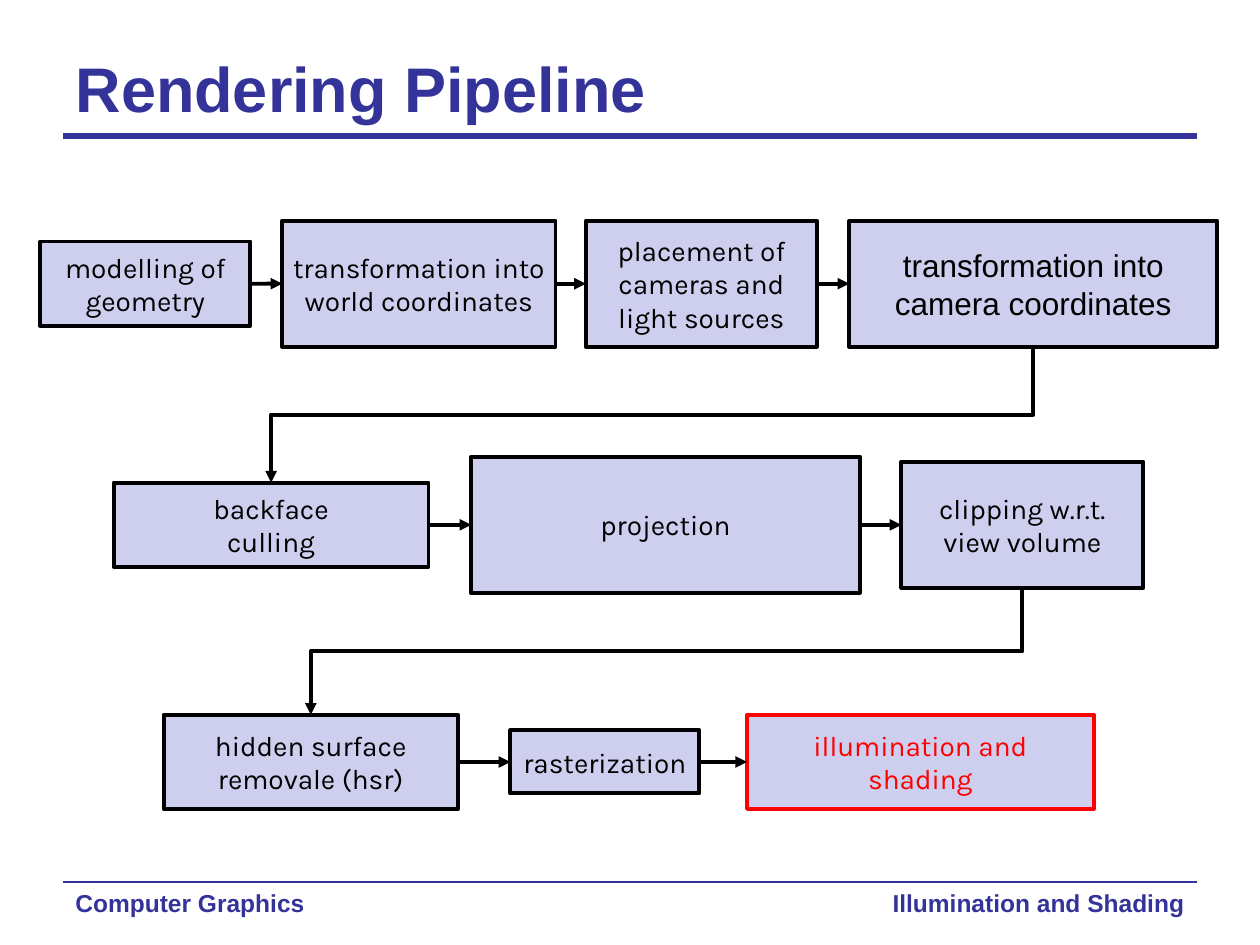
"""Build the rendering pipeline slide with python-pptx."""
from itertools import pairwise

from lxml.etree import SubElement
from pptx import Presentation
from pptx.dml.color import RGBColor
from pptx.enum.shapes import MSO_CONNECTOR, MSO_SHAPE
from pptx.enum.text import MSO_ANCHOR, MSO_AUTO_SIZE, PP_ALIGN
from pptx.oxml.ns import qn
from pptx.util import Cm, Pt

NAVY = RGBColor(0x33, 0x33, 0x99)
LILAC = RGBColor(0xCE, 0xCE, 0xEF)
BLACK = RGBColor(0, 0, 0)
RED = RGBColor(0xFF, 0, 0)

TITLE = "Rendering Pipeline"
FOOTERS = [
    ("Computer Graphics", 1.27, 9.53, PP_ALIGN.LEFT),
    ("Illumination and Shading", 16.3, 7.83, PP_ALIGN.RIGHT),
]
RULES = [(2.74, 3), (17.78, 1.5)]

# Each row: middle height, then (label, left, width, height) in centimetres.
ROWS = [
    (5.72, [
        ("modelling of\ngeometry", 0.81, 4.24, 1.7),
        ("transformation into\nworld coordinates", 5.69, 5.51, 2.54),
        ("placement of\ncameras and\nlight sources", 11.81, 4.66, 2.54),
        ("transformation into\ncamera coordinates", 17.12, 7.42, 2.54),
    ]),
    (10.58, [
        ("backface\nculling", 2.29, 6.35, 1.7),
        ("projection", 9.5, 7.83, 2.75),
        ("clipping w.r.t.\nview volume", 18.17, 4.88, 2.54),
    ]),
    (15.36, [
        ("hidden surface\nremovale (hsr)", 3.3, 5.93, 1.9),
        ("rasterization", 10.29, 3.81, 1.27),
        ("illumination and\nshading", 15.06, 6.99, 1.9),
    ]),
]
ACCENTS = {"illumination and\nshading": RED}
FONTS = {"transformation into\ncamera coordinates": ("Arial", 18)}


def style_text(p, name, size, color, bold=False, align=PP_ALIGN.LEFT):
    p.alignment = align
    p.font.name, p.font.size, p.font.bold = name, Pt(size), bold
    p.font.color.rgb = color


def style_line(c, color, width, arrow=False):
    c.line.color.rgb = color
    c.line.width = Pt(width)
    sp_pr = c.element.spPr
    if arrow:
        SubElement(sp_pr.find(qn("a:ln")), qn("a:tailEnd"), type="triangle")
    SubElement(sp_pr, qn("a:effectLst"))


def add_stage(s, label, left, middle, width, height):
    sp = s.shapes.add_shape(MSO_SHAPE.RECTANGLE, Cm(left), Cm(middle - height / 2),
                            Cm(width), Cm(height))
    color = ACCENTS.get(label, BLACK)
    sp.shadow.inherit = False
    sp.fill.solid()
    sp.fill.fore_color.rgb = LILAC
    sp.line.color.rgb = color
    sp.line.width = Pt(2.25)
    tf = sp.text_frame
    tf.word_wrap = False
    tf.vertical_anchor = MSO_ANCHOR.MIDDLE
    p = tf.paragraphs[0]
    p.text = label
    style_text(p, *FONTS.get(label, ("Karla", 16)), color, align=PP_ALIGN.CENTER)
    return sp


def add_arrow(s, a, b):
    c = s.shapes.add_connector(MSO_CONNECTOR.STRAIGHT, 0, 0, 0, 0)
    c.begin_connect(a, 3)
    c.end_connect(b, 1)
    style_line(c, BLACK, 2.25, arrow=True)


def add_row_turn(s, a, b):
    """Draw an elbow from the bottom of a, down and left to the top of b."""
    x1, y1 = a.left + a.width // 2, a.top + a.height
    x2, y2 = b.left + b.width // 2, b.top
    run, drop = x1 - x2, y2 - y1
    left, top = (x1 + x2 - drop) // 2, (y1 + y2 - run) // 2
    c = s.shapes.add_connector(MSO_CONNECTOR.ELBOW, left, top, left + drop, top + run)
    c.element.spPr.find(qn("a:xfrm")).set("rot", str(90 * 60000))
    style_line(c, BLACK, 2.25, arrow=True)


def main():
    prs = Presentation()
    prs.slide_width, prs.slide_height = Cm(25.4), Cm(19.05)
    s = prs.slides.add_slide(prs.slide_layouts[5])

    title = s.shapes.title
    title.left, title.top, title.width, title.height = Cm(1.27), Cm(0.76), Cm(22.86), Cm(1.98)
    tf = title.text_frame
    tf.text = TITLE
    tf.auto_size = MSO_AUTO_SIZE.NONE
    tf.vertical_anchor = MSO_ANCHOR.MIDDLE
    style_text(tf.paragraphs[0], "Arial", 36, NAVY, bold=True)

    for text, left, width, align in FOOTERS:
        tf = s.shapes.add_textbox(Cm(left), Cm(17.78), Cm(width), Cm(0.89)).text_frame
        tf.word_wrap = True
        tf.text = text
        style_text(tf.paragraphs[0], "Arial", 14, NAVY, bold=True, align=align)

    for y, width in RULES:
        rule = s.shapes.add_connector(MSO_CONNECTOR.STRAIGHT, Cm(1.27), Cm(y), Cm(24.13), Cm(y))
        style_line(rule, NAVY, width)

    rows = [[add_stage(s, label, left, middle, width, height)
             for label, left, width, height in stages] for middle, stages in ROWS]
    for row in rows:
        for a, b in pairwise(row):
            add_arrow(s, a, b)
    for upper, lower in pairwise(rows):
        add_row_turn(s, upper[-1], lower[0])

    prs.save("out.pptx")


if __name__ == "__main__":
    main()
